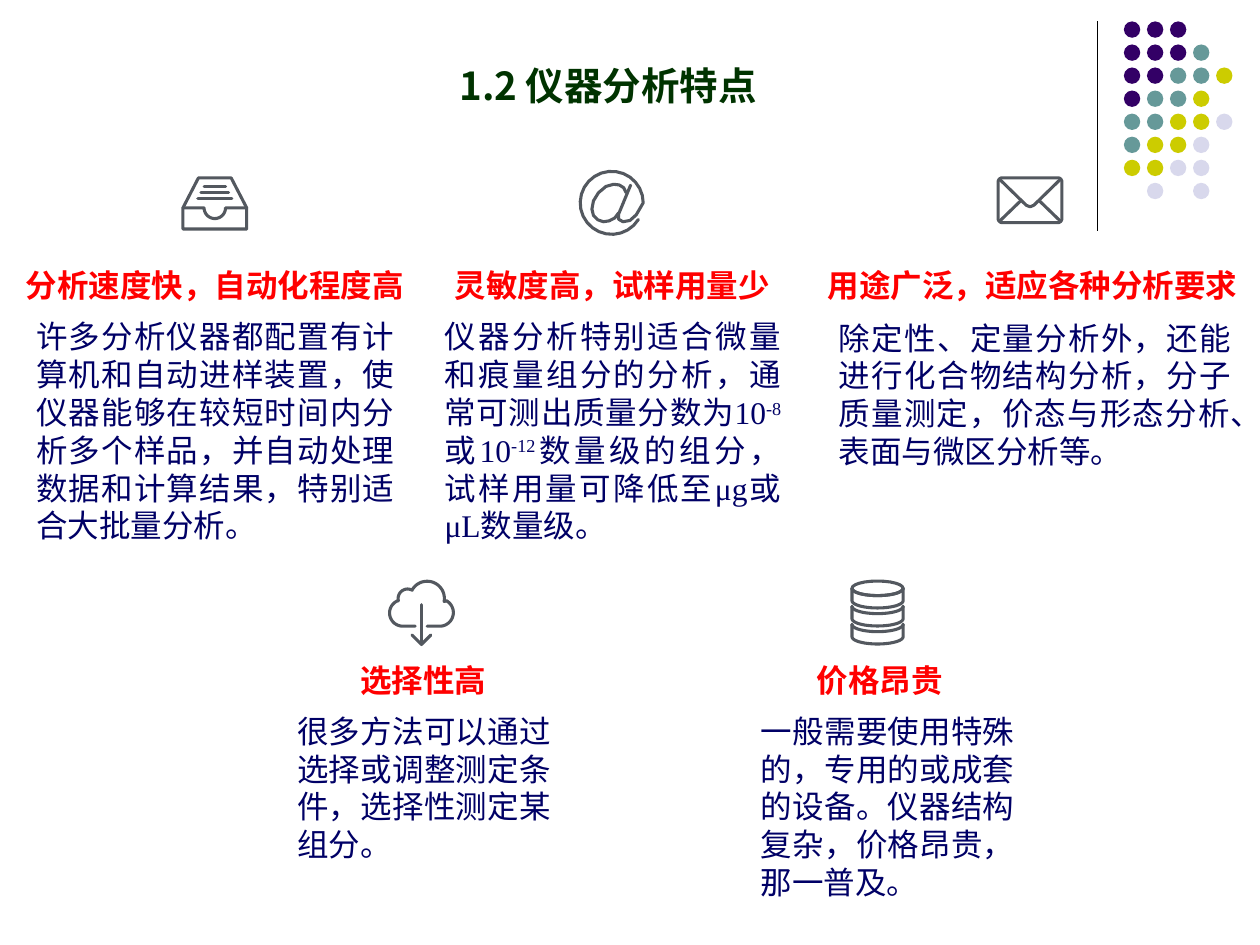
from dataclasses import dataclass
from math import cos, radians, sin

from lxml import etree
from pptx import Presentation, util as u
from pptx.dml.color import RGBColor
from pptx.enum import shapes, text
from pptx.oxml.ns import qn

Point = tuple[float, float]
Stroke = list[Point]

COLUMNS, ROWS = 100, 75
CELL = u.Inches(0.1)


@dataclass(frozen=True)
class Theme:
    title: str = "003300"
    heading: str = "FF0000"
    body: str = "000066"
    icon: str = "53585F"
    rule: str = "000000"
    sans: str = "Noto Sans CJK SC"
    serif: str = "Times New Roman"
    title_size: int = 22
    text_size: int = 18
    leading: float = 1.2
    icon_width: float = 1.75
    rule_width: float = 0.75


@dataclass(frozen=True)
class Area:
    left: float
    top: float
    width: float
    height: float

    def emu(self) -> list[int]:
        return [grid(v) for v in (self.left, self.top, self.width, self.height)]


@dataclass(frozen=True)
class Style:
    size: int
    color: str
    latin: str
    bold: bool
    align: text.PP_ALIGN
    wrap: bool


@dataclass(frozen=True)
class Feature:
    heading: str
    heading_area: Area
    body: list[str]
    body_area: Area
    icon: list[Stroke]
    icon_at: Point


THEME = Theme()
TITLE = Style(THEME.title_size, THEME.title, THEME.sans, True, text.PP_ALIGN.CENTER, True)
HEADING = Style(THEME.text_size, THEME.heading, THEME.sans, True, text.PP_ALIGN.CENTER, False)
BODY = Style(THEME.text_size, THEME.body, THEME.serif, False, text.PP_ALIGN.JUSTIFY, True)

DOT_COLORS = {"P": "330066", "T": "669999", "Y": "CCCC00", "L": "D8D8EC"}
DOT_ROWS = ["PPP", "PPPT", "PPTTY", "PTTY", "TTYYL", "TYYL", "YYLL", ".L.L"]
DOT_LEFT, DOT_TOP, DOT_PITCH, DOT_SIZE = 89.2, 1.7, 1.83, 1.3


def grid(cells: float) -> int:
    return round(cells * CELL)


def arc(cx: float, cy: float, rx: float, ry: float, start: int, end: int) -> Stroke:
    steps = 24
    angles = [radians(start + (end - start) * i / steps) for i in range(steps + 1)]
    return [(cx + rx * cos(a), cy + ry * sin(a)) for a in angles]


def tray() -> list[Stroke]:
    slot = [(0.12, 2.5), *arc(2.65, 2.5, 0.85, 0.85, 180, 0), (5.18, 2.5)]
    case = [(0.12, 2.5), (1.35, 0.12), (3.95, 0.12), (5.18, 2.5), (5.18, 4.18), (0.12, 4.18), (0.12, 2.5)]
    sheets = [[(2.65 - half, y), (2.65 + half, y)] for half, y in ((0.85, 0.8), (1.1, 1.27), (1.35, 1.73))]
    return [slot, case, *sheets]


def at_sign() -> list[Stroke]:
    tail = [(5.05, 2.95), (4.7, 3.55), (4.2, 4), (3.65, 4.1), (3.3, 3.9), (3.3, 3.5), (4.25, 1.2)]
    ring = [*arc(2.75, 2.6, 2.5, 2.5, 32, 360), *tail]
    bowl = [(3.9, 1.8), (3.7, 1.4), (3.35, 1.18), (2.9, 1.13), (2.3, 1.3), (1.7, 1.8), (1.3, 2.45),
            (1.18, 3.1), (1.3, 3.6), (1.65, 3.95), (2.1, 4.1), (2.55, 4.03), (3, 3.8), (3.3, 3.4)]
    return [ring, bowl]


def envelope() -> list[Stroke]:
    corners = [(0.45, 0.45, 180), (4.85, 0.45, 270), (4.85, 3.35, 0), (0.45, 3.35, 90)]
    border = [p for x, y, a in corners for p in arc(x, y, 0.33, 0.33, a, a + 90)]
    flap = [(0.25, 0.25), (2.35, 2.3), (2.65, 2.42), (2.95, 2.3), (5.05, 0.25)]
    return [[*border, border[0]], flap, [(0.25, 3.55), (1.85, 2)], [(5.05, 3.55), (3.45, 2)]]


def cloud() -> list[Stroke]:
    outline = [(2.15, 3.7), *arc(1.17, 2.65, 1.05, 1.05, 90, 250), *arc(1.55, 1.5, 0.75, 0.75, 165, 300),
               *arc(3.1, 1.5, 1.37, 1.37, 210, 370), *arc(4.1, 2.62, 1.08, 1.08, -60, 90), (3.1, 3.7)]
    return [outline, [(2.65, 2), (2.65, 5.15)], [(1.9, 4.4), (2.65, 5.15), (3.4, 4.4)]]


def database() -> list[Stroke]:
    strokes = [arc(2.15, 0.7, 2.03, 0.58, 0, 360)]
    for top in (0.7, 2.13, 3.56):
        strokes.append([(4.18, top), *arc(2.15, top + 0.98, 2.03, 0.58, 0, 180), (0.12, top)])
        strokes.append(arc(2.15, top, 2.03, 0.58, 0, 180))
    return strokes


FEATURES = [
    Feature("分析速度快，自动化程度高", Area(0.8, 20.6, 32.5, 4),
            ["许多分析仪器都配置有计算机和自动进样装置，使仪器能够在较短时间内分析多个样品，"
             "并自动处理数据和计算结果，特别适合大批量分析。"],
            Area(1.9, 24.7, 30.4, 19.2), tray(), (14.4, 14)),
    Feature("灵敏度高，试样用量少", Area(34.9, 20.6, 27.4, 4),
            ["仪器分析特别适合微量和痕量组分的分析，通常可测出质量分数为10", "-8", "或10", "-12",
             "数量级的组分，试样用量可降低至μg或μL数量级。"],
            Area(34.3, 24.7, 28.7, 21.3), at_sign(), (45.8, 13.5)),
    Feature("用途广泛，适应各种分析要求", Area(64.4, 20.6, 35.1, 4),
            ["除定性、定量分析外，还能进行化合物结构分析，分子质量测定，价态与形态分析、表面与微区分析等。"],
            Area(65.6, 24.8, 33.1, 13.1), envelope(), (79.1, 14)),
    Feature("选择性高", Area(27.5, 52, 12.2, 4),
            ["很多方法可以通过选择或调整测定条件，选择性测定某组分。"],
            Area(22.6, 56, 22.1, 13.1), cloud(), (30.8, 46)),
    Feature("价格昂贵", Area(63.7, 52, 12.2, 4),
            ["一般需要使用特殊的，专用的或成套的设备。仪器结构复杂，价格昂贵，那一普及。"],
            Area(59.4, 56, 22.1, 16.2), database(), (67.5, 46)),
]


def write(frame, pieces: list[str], style: Style, anchor=text.MSO_ANCHOR.TOP) -> None:
    frame_format = {
        "word_wrap": style.wrap, "auto_size": text.MSO_AUTO_SIZE.NONE, "vertical_anchor": anchor,
        "margin_left": CELL, "margin_right": CELL, "margin_top": CELL // 2, "margin_bottom": CELL // 2,
    }
    for key, value in frame_format.items():
        setattr(frame, key, value)
    paragraph = frame.paragraphs[0]
    paragraph.alignment = style.align
    paragraph.line_spacing = u.Pt(style.size * THEME.leading)
    for index, piece in enumerate(pieces):
        run = paragraph.add_run()
        run.text = piece
        for key, value in {"size": u.Pt(style.size), "bold": style.bold, "name": style.latin}.items():
            setattr(run.font, key, value)
        run.font.color.rgb = RGBColor.from_string(style.color)
        properties = run._r.get_or_add_rPr()
        properties.set("lang", "zh-CN")
        if index % 2:
            properties.set("baseline", "30000")
        properties.find(qn("a:latin")).addnext(etree.Element(qn("a:ea"), typeface=THEME.sans))


def draw_icon(slide, strokes: list[Stroke], origin: Point) -> None:
    placed = [[(grid(origin[0] + x), grid(origin[1] + y)) for x, y in stroke] for stroke in strokes]
    builder = slide.shapes.build_freeform(*placed[0][0])
    for index, stroke in enumerate(placed):
        if index:
            builder.move_to(*stroke[0])
        builder.add_line_segments(stroke[1:], close=False)
    icon = builder.convert_to_shape()
    icon.shadow.inherit = False
    icon.fill.background()
    icon.line.color.rgb = RGBColor.from_string(THEME.icon)
    icon.line.width = u.Pt(THEME.icon_width)
    icon._element.spPr.find(qn("a:ln")).set("cap", "rnd")


def draw_feature(slide, feature: Feature) -> None:
    draw_icon(slide, feature.icon, feature.icon_at)
    for pieces, area, style in ((feature.body, feature.body_area, BODY),
                                ([feature.heading], feature.heading_area, HEADING)):
        write(slide.shapes.add_textbox(*area.emu()).text_frame, pieces, style)


def draw_ornament(slide) -> None:
    rule = slide.shapes.add_connector(
        shapes.MSO_CONNECTOR.STRAIGHT, grid(87.1), grid(1.7), grid(87.1), grid(18.3))
    rule.line.color.rgb = RGBColor.from_string(THEME.rule)
    rule.line.width = u.Pt(THEME.rule_width)
    etree.SubElement(rule._element.spPr, qn("a:effectLst"))
    for row, marks in enumerate(DOT_ROWS):
        for column, mark in enumerate(marks):
            if mark not in DOT_COLORS:
                continue
            area = Area(DOT_LEFT + column * DOT_PITCH, DOT_TOP + row * DOT_PITCH, DOT_SIZE, DOT_SIZE)
            dot = slide.shapes.add_shape(shapes.MSO_SHAPE.OVAL, *area.emu())
            dot.shadow.inherit = False
            dot.fill.solid()
            dot.fill.fore_color.rgb = RGBColor.from_string(DOT_COLORS[mark])
            dot.line.fill.background()


def main() -> None:
    deck = Presentation()
    deck.slide_width, deck.slide_height = grid(COLUMNS), grid(ROWS)
    slide = deck.slides.add_slide(deck.slide_layouts[5])
    draw_ornament(slide)
    title = slide.shapes.title
    title.left, title.top, title.width, title.height = Area(19.3, 4.4, 57.9, 4.7).emu()
    write(title.text_frame, ["1.2 仪器分析特点"], TITLE, text.MSO_ANCHOR.MIDDLE)
    for feature in FEATURES:
        draw_feature(slide, feature)
    deck.save("out.pptx")


if __name__ == "__main__":
    main()
